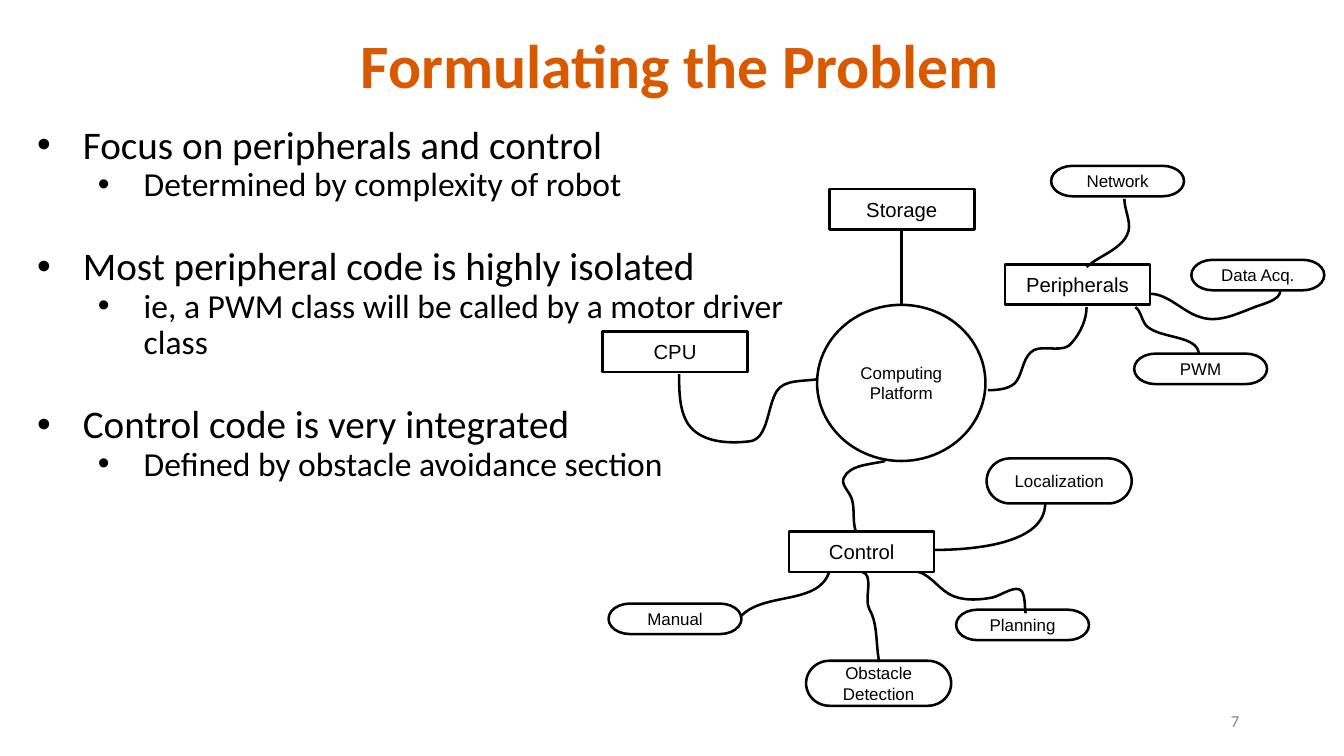
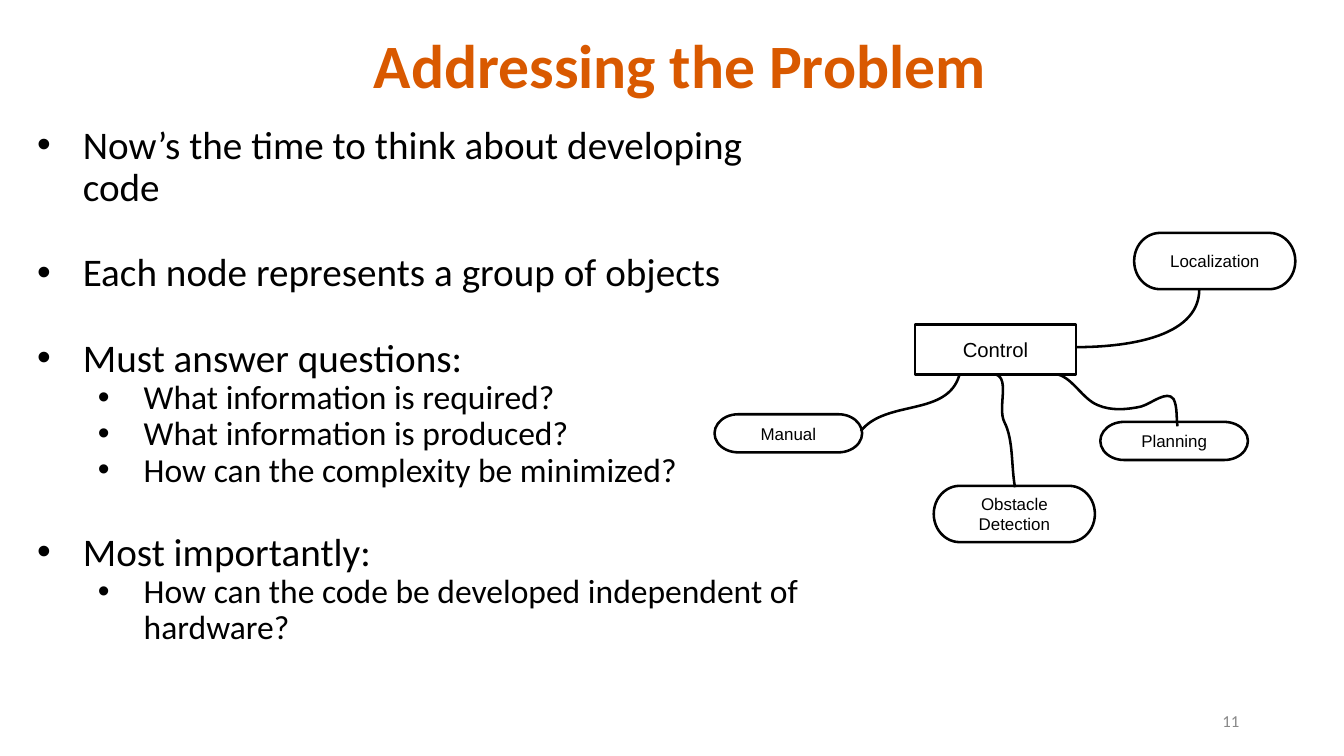
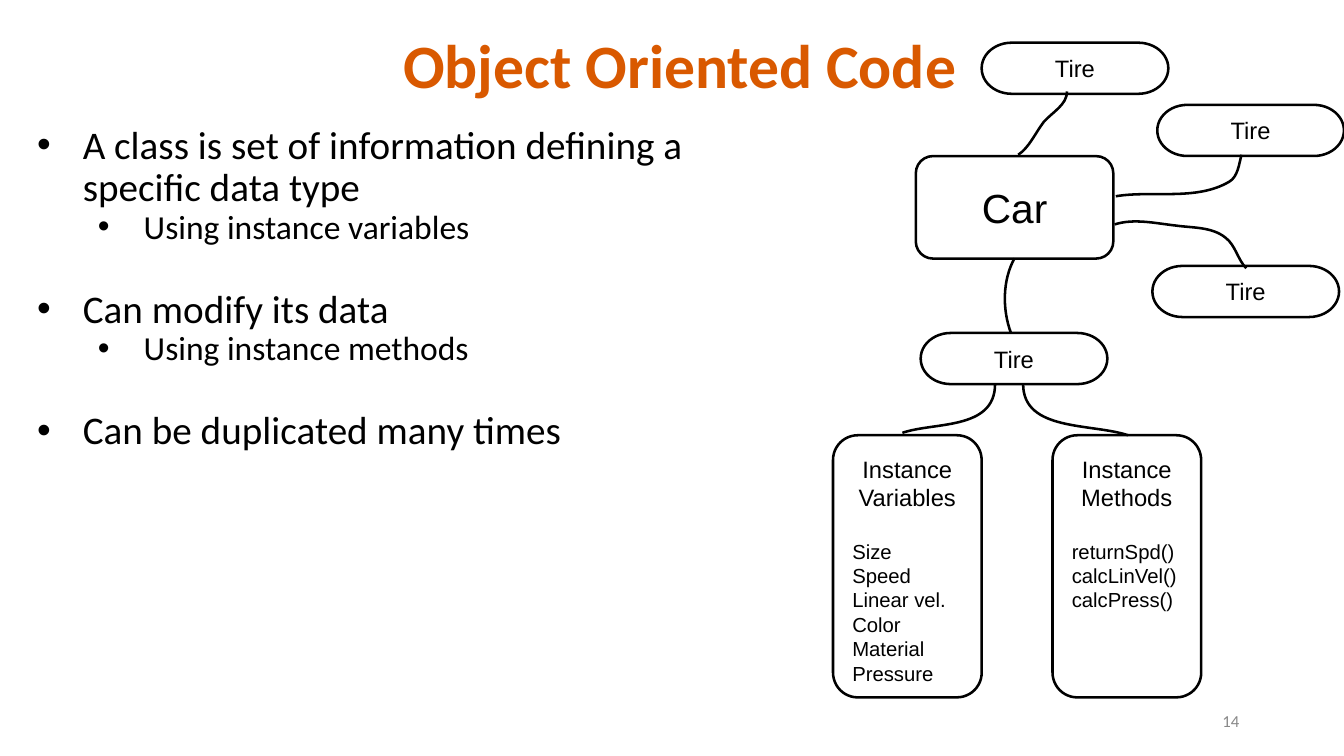
from lxml.etree import SubElement
from pptx import Presentation
from pptx.dml.color import RGBColor
from pptx.enum.shapes import MSO_CONNECTOR, MSO_SHAPE as Shape
from pptx.enum.text import MSO_ANCHOR as Anchor, MSO_AUTO_SIZE, PP_ALIGN as Align
from pptx.oxml.ns import qn
from pptx.util import Pt

# Shared style
BLACK = RGBColor(0x00, 0x00, 0x00)
ORANGE = RGBColor(0xD9, 0x59, 0x00)
GREY = RGBColor(0x88, 0x88, 0x88)
TEXT_FONT, DIAGRAM_FONT = "Calibri", "Arial"
TITLE_ONLY = 5
BULLET_SIZES = (23.1, 19.8)
GROUP_GAP = 25.4
BOX_SIZE = (85.7, 23.8)
PILL_SIZE = (78.5, 18)
WIDE_PILL_SIZE = (85.7, 26.6)
TIRE_SIZE = (110.2, 30.2)
PANEL_SIZE = (87.8, 154.8)


class SlideBuilder:
    """Holds the deck, the current page and the frame for diagram coordinates."""

    def __init__(self):
        self.deck = Presentation()
        self.deck.slide_width, self.deck.slide_height = Pt(793.5), Pt(446.4)
        self.page = None
        self.set_frame()

    def set_frame(self, left=0, top=0, scale_x=1, scale_y=1):
        self.frame = left, top, scale_x, scale_y

    def place(self, x, y):
        left, top, scale_x, scale_y = self.frame
        return Pt(left + x * scale_x), Pt(top + y * scale_y)

    def span(self, para, text, size, color=BLACK, font=TEXT_FONT, bold=False):
        span = para.add_run()
        span.text = text
        span.font.name, span.font.size, span.font.bold = font, Pt(size), bold
        span.font.color.rgb = color

    def setup_text(self, box, anchor, inset_y=3.6):
        text = box.text_frame
        text.word_wrap = True
        text.auto_size = MSO_AUTO_SIZE.NONE
        text.vertical_anchor = anchor
        text.margin_left = text.margin_right = Pt(7.2)
        text.margin_top = text.margin_bottom = Pt(inset_y)
        return text

    def text_box(self, left, top, width, height, anchor):
        box = self.page.shapes.add_textbox(Pt(left), Pt(top), Pt(width), Pt(height))
        return self.setup_text(box, anchor)

    def start_page(self, title, number):
        self.page = self.deck.slides.add_slide(self.deck.slide_layouts[TITLE_ONLY])
        self.set_frame()
        box = self.page.shapes.title
        box.left, box.top, box.width, box.height = Pt(59), Pt(4.3), Pt(684.7), Pt(72)
        para = self.setup_text(box, Anchor.MIDDLE).paragraphs[0]
        para.alignment, para.line_spacing = Align.CENTER, 0.9
        self.span(para, title, 36.4, ORANGE, bold=True)

        para = self.text_box(560.2, 414, 178.6, 23.8, Anchor.MIDDLE).paragraphs[0]
        para.alignment = Align.RIGHT
        self.span(para, str(number), 9.9, GREY)

    def bullets(self, groups):
        """Each group is a heading followed by its sub-points."""
        text = self.text_box(5.8, 70.6, 477.4, 342, Anchor.TOP)
        para = text.paragraphs[0]
        for group_index, group in enumerate(groups):
            for index, words in enumerate(group):
                if group_index or index:
                    para = text.add_paragraph()
                level = min(index, 1)
                para.level, para.line_spacing = level, 0.9
                para.space_after = Pt(0)
                para.space_before = Pt(GROUP_GAP if group_index and not index else 0)
                props = para._p.get_or_add_pPr()
                props.set("marL", str(Pt(36 * (level + 1))))
                props.set("indent", str(Pt(-27)))
                SubElement(props, qn("a:buFont")).set("typeface", DIAGRAM_FONT)
                SubElement(props, qn("a:buChar")).set("char", "•")
                self.span(para, words, BULLET_SIZES[level])

    def outline(self, shape):
        shape.line.color.rgb = BLACK
        shape.line.width = Pt(1.5)

    def node(self, kind, x, y, dimensions, label, size, anchor=Anchor.MIDDLE):
        left, top = self.place(x, y)
        right, bottom = self.place(x + dimensions[0], y + dimensions[1])
        box = self.page.shapes.add_shape(kind, left, top, right - left, bottom - top)
        box.fill.background()
        box.shadow.inherit = False
        self.outline(box)
        text = self.setup_text(box, anchor, inset_y=7.2)
        text.paragraphs[0].alignment = Align.CENTER
        self.span(text.paragraphs[0], label, size, font=DIAGRAM_FONT)
        return text

    def box(self, x, y, label):
        self.node(Shape.RECTANGLE, x, y, BOX_SIZE, label, 12)

    def pill(self, x, y, label, dimensions=PILL_SIZE, size=10):
        self.node(Shape.FLOWCHART_TERMINATOR, x, y, dimensions, label, size)

    def panel(self, x, y, heading, items):
        text = self.node(Shape.ROUNDED_RECTANGLE, x, y, PANEL_SIZE, heading, 14, Anchor.TOP)
        for index, item in enumerate(items):
            para = text.add_paragraph()
            para.alignment = Align.LEFT
            para.space_before = Pt(0 if index else 16.1)
            self.span(para, item, 12, font=DIAGRAM_FONT)

    def line(self, start, end):
        line = self.page.shapes.add_connector(
            MSO_CONNECTOR.STRAIGHT, *self.place(*start), *self.place(*end))
        self.outline(line)
        SubElement(line.element.spPr, qn("a:effectLst"))

    def curve(self, start, *points):
        """Draws cubic curves; every three points are two handles and an end."""
        builder = self.page.shapes.build_freeform(*self.place(*start))
        builder.add_line_segments([self.place(*point) for point in points], close=False)
        curve = builder.convert_to_shape()
        curve.fill.background()
        curve.shadow.inherit = False
        self.outline(curve)
        # Turn each three straight segments into one cubic segment
        route = next(curve.element.iter(qn("a:path")))
        segments = route.findall(qn("a:lnTo"))
        for index in range(0, len(segments), 3):
            cubic = SubElement(route, qn("a:cubicBezTo"))
            for segment in segments[index:index + 3]:
                cubic.append(segment[0])
                route.remove(segment)

    def control_diagram(self, *frame):
        """Control box with its four tasks, fitted to the given frame."""
        self.set_frame(*frame)
        self.box(106.6, 43.2, "Control")
        self.pill(0, 85.7, "Manual")
        self.pill(116.6, 119.5, "Obstacle Detection", WIDE_PILL_SIZE)
        self.pill(205.2, 89.3, "Planning")
        self.pill(223.2, 0, "Localization", WIDE_PILL_SIZE)
        self.curve((149.8, 67), (157, 69.1), (150.5, 82.8), (154.1, 89.3),
                   (159.1, 97.9), (157.7, 110.2), (159.8, 120.2))
        self.curve((192.2, 54), (216, 54), (257.8, 50.4), (257.8, 26.6))
        self.curve((130.3, 67), (123.8, 87.1), (91.4, 78.5), (77.8, 93.6))
        self.curve((182.9, 67), (190.8, 69.1), (195.8, 78.5), (203.8, 81.4),
                   (211, 84.2), (219.6, 83.5), (226.8, 82.1),
                   (232.6, 80.6), (240.5, 74.2), (244.1, 78.5),
                   (246.2, 82.1), (245.5, 87.1), (246.2, 91.4))
        self.set_frame()


slides = SlideBuilder()

# Formulating the problem
slides.start_page("Formulating the Problem", 7)
slides.bullets([
    ["Focus on peripherals and control", "Determined by complexity of robot"],
    ["Most peripheral code is highly isolated",
     "ie, a PWM class will be called by a motor driver class"],
    ["Control code is very integrated", "Defined by obstacle avoidance section"],
])
slides.node(Shape.OVAL, 482.4, 180, (99.4, 92.2), "Computing Platform", 10)
slides.line((532.1, 180), (532.1, 135.4))
for x, y, label in [(489.6, 111.6, "Storage"), (593.3, 156.2, "Peripherals"),
                    (355.7, 195.8, "CPU")]:
    slides.box(x, y, label)
for x, y, label in [(669.6, 208.8, "PWM"), (703.4, 153.4, "Data Acq."),
                    (620.6, 97.9, "Network")]:
    slides.pill(x, y, label)
# Platform to peripherals, CPU and control
slides.curve((583.2, 230.4), (589, 230.4), (597.6, 229.7), (600.5, 224.6),
             (604.1, 218.9), (604.1, 210.2), (610.6, 206.6),
             (617, 203.8), (628.6, 208.8), (632.9, 202.3),
             (637.9, 196.6), (641.5, 188.6), (641.5, 181.4))
slides.curve((483.1, 223.9), (474.5, 225.4), (463, 223.9), (458.6, 231.1),
             (452.9, 240.5), (453.6, 259.2), (442.8, 260.6),
             (430.6, 262.1), (415.4, 261.4), (407.5, 252),
             (401, 244.1), (401, 231.1), (401, 221))
slides.curve((522.7, 272.2), (514.1, 274.3), (501.8, 274.3), (498.2, 282.2),
             (496.1, 286.6), (502.6, 290.9), (503.3, 295.9),
             (504.7, 301.7), (503.3, 308.2), (505.4, 313.9))
# Peripherals to network, data acquisition and PWM
slides.curve((641.5, 157.7), (648.7, 151.2), (661, 147.6), (665.3, 139),
             (668.9, 132.5), (663.8, 124.6), (663.8, 117.4))
slides.curve((679, 173.5), (689.8, 173.5), (698.4, 184.3), (708.5, 187.2),
             (718.6, 190.8), (729.4, 185.8), (738.7, 182.2),
             (745.2, 179.3), (756, 177.8), (756, 171.4))
slides.curve((670.3, 181.4), (673.9, 183.6), (673.9, 190.1), (677.5, 193),
             (686.2, 200.2), (707.8, 198), (707.8, 209.5))
slides.control_diagram(359.3, 270.7)

# Addressing the problem
slides.start_page("Addressing the Problem", 11)
slides.bullets([
    ["Now’s the time to think about developing code"],
    ["Each node represents a group of objects"],
    ["Must answer questions:", "What information is required?",
     "What information is produced?", "How can the complexity be minimized?"],
    ["Most importantly:", "How can the code be developed independent of hardware?"],
])
slides.control_diagram(421.9, 137.5, 1.11, 1.25)

# Object oriented code
slides.start_page("Object Oriented Code", 14)
slides.bullets([
    ["A class is set of information defining a specific data type",
     "Using instance variables"],
    ["Can modify its data", "Using instance methods"],
    ["Can be duplicated many times"],
])
slides.node(Shape.ROUNDED_RECTANGLE, 540.7, 92.2, (116.6, 60.5), "Car", 24)
for x, y in [(543.6, 196.6), (680.4, 157), (683.3, 61.9), (579.6, 25.2)]:
    slides.pill(x, y, "Tire", TIRE_SIZE, 14)
slides.panel(491.8, 257, "Instance Variables",
             ["Size", "Speed", "Linear vel.", "Color", "Material", "Pressure"])
slides.panel(621.4, 257, "Instance Methods",
             ["returnSpd()", "calcLinVel()", "calcPress()"])
# Car to tires
slides.curve((599, 152.6), (591.8, 165.6), (591.8, 182.9), (596.9, 196.6))
slides.curve((601.2, 91.4), (607.7, 87.1), (611.3, 78.5), (616.3, 72),
             (621.4, 66.2), (630, 61.9), (630, 54))
slides.curve((658.8, 115.9), (680.4, 112.3), (706.3, 118.8), (725.8, 107.3),
             (730.8, 104.4), (731.5, 97.2), (733, 91.4))
slides.curve((658.1, 132.5), (669.6, 128.9), (681.8, 131.8), (694.1, 133.2),
             (704.2, 134.6), (715.7, 133.9), (723.6, 140.4),
             (729.4, 144.7), (730.8, 153.4), (735.8, 158.4))
# Tire to its variables and methods
slides.curve((532.8, 255.6), (551.5, 249.1), (587.5, 254.2), (587.5, 226.8))
slides.curve((666, 257), (644.4, 249.8), (604.1, 254.9), (604.1, 226.8))

slides.deck.save("out.pptx")
